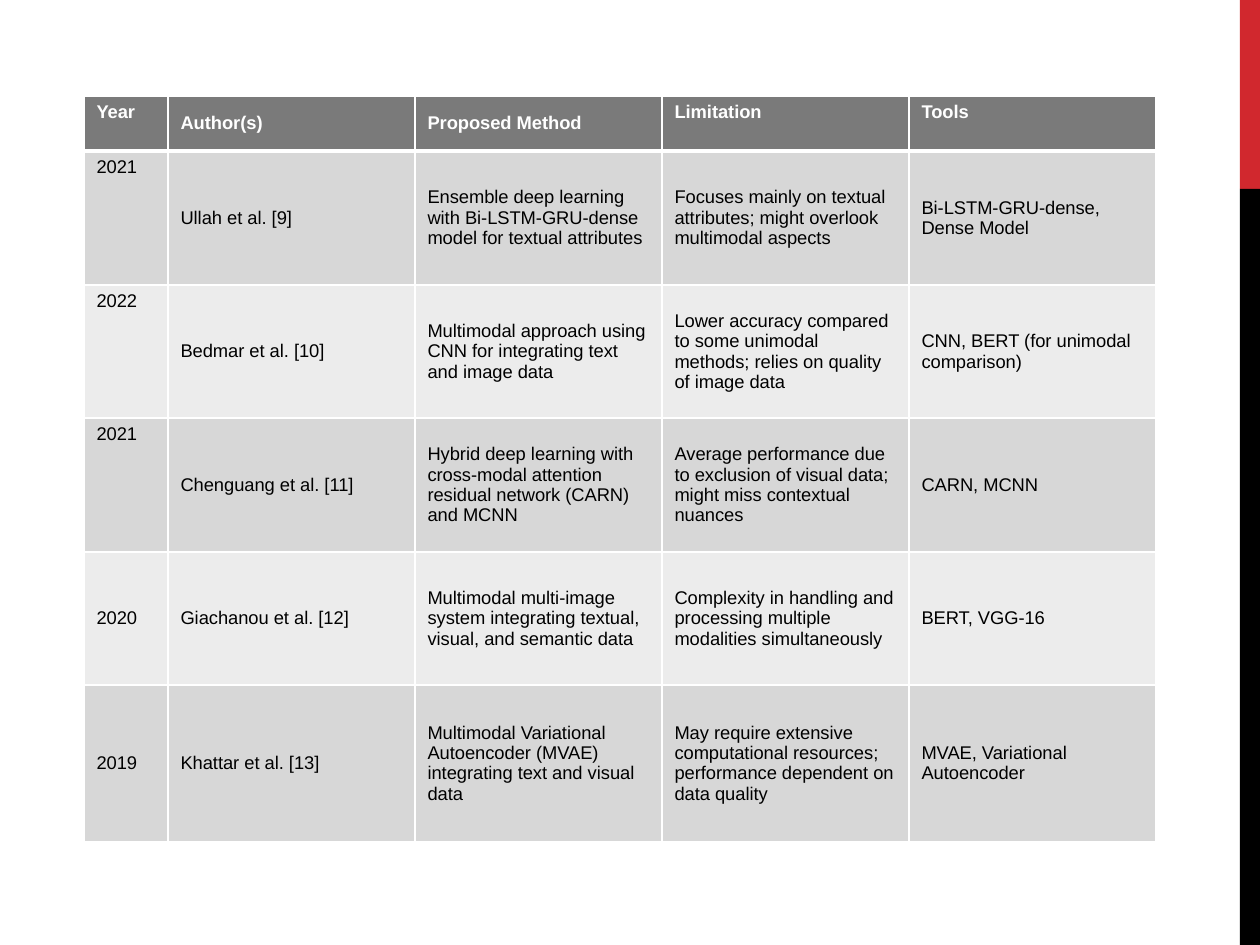
from dataclasses import dataclass

from lxml import etree
from pptx import Presentation
from pptx import util as u
from pptx.dml.color import RGBColor
from pptx.enum import shapes, text
from pptx.oxml.ns import qn

PX = 914400 // 126  # EMU in one px


@dataclass(frozen=True)
class Theme:
    font: str = "Arial"
    size: float = 10.5
    red: str = "D1282E"
    black: str = "000000"
    white: str = "FFFFFF"
    header: str = "7A7A7A"
    bands: tuple = ("D7D7D7", "ECECEC")
    rule: float = 1
    header_rule: float = 3


T = Theme()

COLS = [84, 247, 247, 247, 247]
ROW_HEIGHTS = [55, 134, 133, 134, 133, 157]
ROWS = [
    ("Year", "Author(s)", "Proposed Method", "Limitation", "Tools"),
    ("2021", "Ullah et al. [9]",
     "Ensemble deep learning with Bi-LSTM-GRU-dense model for textual attributes",
     "Focuses mainly on textual attributes; might overlook multimodal aspects",
     "Bi-LSTM-GRU-dense, Dense Model"),
    ("2022", "Bedmar et al. [10]",
     "Multimodal approach using CNN for integrating text and image data",
     "Lower accuracy compared to some unimodal methods; relies on quality of image data",
     "CNN, BERT (for unimodal comparison)"),
    ("2021", "Chenguang et al. [11]",
     "Hybrid deep learning with cross-modal attention residual network (CARN) and MCNN",
     "Average performance due to exclusion of visual data; might miss contextual nuances",
     "CARN, MCNN"),
    ("2020", "Giachanou et al. [12]",
     "Multimodal multi-image system integrating textual, visual, and semantic data",
     "Complexity in handling and processing multiple modalities simultaneously",
     "BERT, VGG-16"),
    ("2019", "Khattar et al. [13]",
     "Multimodal Variational Autoencoder (MVAE) integrating text and visual data",
     "May require extensive computational resources; performance dependent on data quality",
     "MVAE, Variational Autoencoder"),
]
# Cells (row, column) whose text sits at the top; the rest are centred
TOP_CELLS = {(0, 0), (0, 3), (0, 4), (1, 0), (2, 0), (3, 0)}


def px(n):
    return u.Emu(n * PX)


def add_bar(s, x, y, w, h, color):
    sp = s.shapes.add_shape(shapes.MSO_SHAPE.RECTANGLE, px(x), px(y), px(w), px(h))
    sp.shadow.inherit = False
    sp.fill.solid()
    sp.fill.fore_color.rgb = RGBColor.from_string(color)
    sp.line.fill.background()


def set_borders(cell, widths):
    """Draw the left, right, top and bottom borders, ahead of the cell's fill."""
    tc_pr = cell._tc.get_or_add_tcPr()
    for i, (side, width) in enumerate(zip("LRTB", widths)):
        ln = etree.Element(qn(f"a:ln{side}"), w=str(u.Pt(width)))
        fill = etree.SubElement(ln, qn("a:solidFill"))
        etree.SubElement(fill, qn("a:srgbClr"), val=T.white)
        tc_pr.insert(i, ln)


def format_cell(cell, label, row, col):
    header = row == 0
    cell.text_frame.text = label
    middle = (row, col) not in TOP_CELLS
    cell.vertical_anchor = text.MSO_ANCHOR.MIDDLE if middle else text.MSO_ANCHOR.TOP
    cell.fill.solid()
    color = T.header if header else T.bands[(row - 1) % 2]
    cell.fill.fore_color.rgb = RGBColor.from_string(color)
    r = cell.text_frame.paragraphs[0].runs[0]
    r.font.name, r.font.size, r.font.bold = T.font, u.Pt(T.size), header
    r.font.color.rgb = RGBColor.from_string(T.white if header else T.black)
    top = T.header_rule if row == 1 else T.rule
    bottom = T.header_rule if header else T.rule
    set_borders(cell, (T.rule, T.rule, top, bottom))


def add_review_table(s, x, y):
    frame = s.shapes.add_table(len(ROWS), len(COLS), px(x), px(y),
                               px(sum(COLS)), px(sum(ROW_HEIGHTS)))
    table = frame.table
    for column, width in zip(table.columns, COLS):
        column.width = px(width)
    for row, height in zip(table.rows, ROW_HEIGHTS):
        row.height = px(height)
    for i, labels in enumerate(ROWS):
        for j, label in enumerate(labels):
            format_cell(table.cell(i, j), label, i, j)


def main():
    prs = Presentation()
    prs.slide_width, prs.slide_height = px(1260), px(945)
    s = prs.slides.add_slide(prs.slide_layouts[6])

    # Side bars
    add_bar(s, 1240, 0, 20, 189, T.red)
    add_bar(s, 1240, 189, 20, 756, T.black)

    # Literature review
    add_review_table(s, 84, 96)

    prs.save("out.pptx")


if __name__ == "__main__":
    main()
